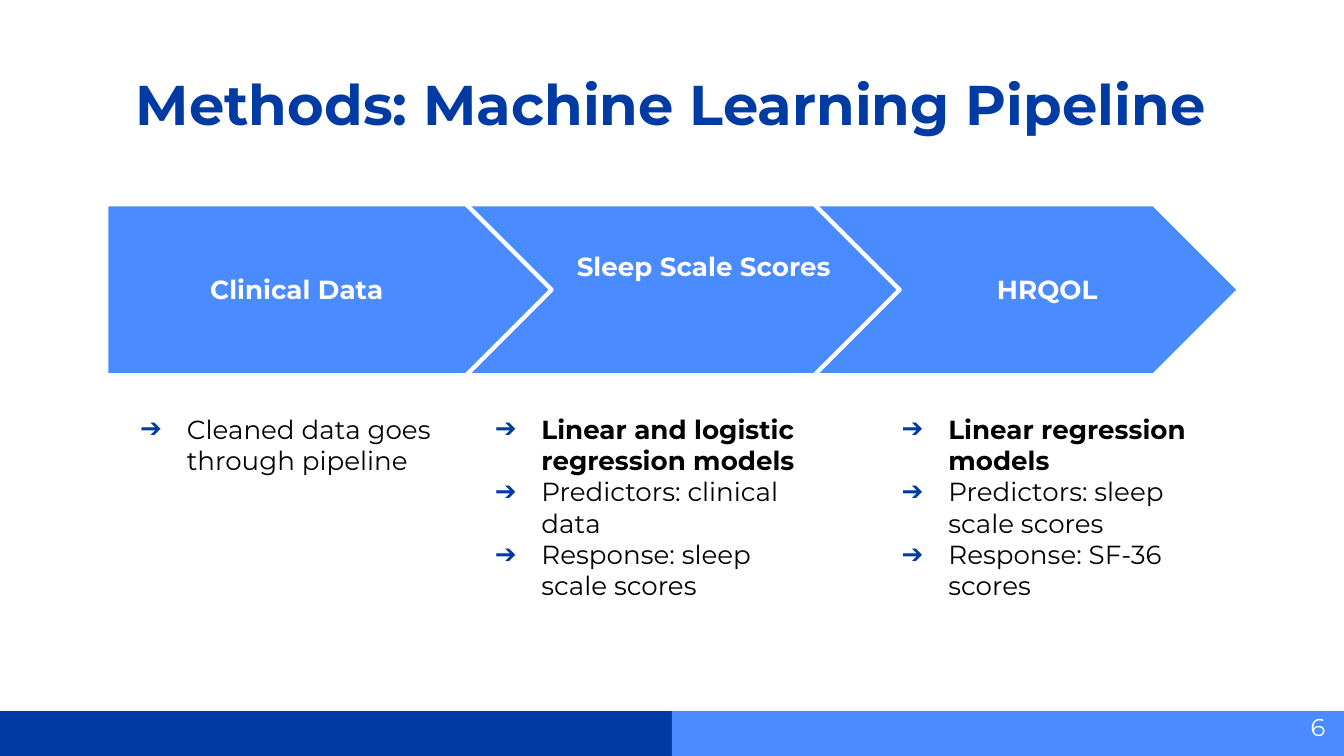
import pptx
import pptx.dml.color
import pptx.enum.shapes
import pptx.enum.text
import pptx.oxml.ns
import pptx.util
from dataclasses import dataclass
from lxml import etree

Pt = pptx.util.Pt
Shape = pptx.enum.shapes.MSO_SHAPE
Align = pptx.enum.text.PP_ALIGN
Anchor = pptx.enum.text.MSO_ANCHOR


@dataclass(frozen=True)
class Theme:
    font: str = "Montserrat"
    navy: str = "003BA3"
    blue: str = "4A8CFF"
    white: str = "FFFFFF"
    black: str = "000000"
    title_size: float = 30
    body_size: float = 14
    number_size: float = 13
    inset: float = 7.2
    outline: float = 2.25


def rgb(value):
    return pptx.dml.color.RGBColor.from_string(value)


class PageBuilder:
    def __init__(self, page, theme):
        self.page = page
        self.theme = theme

    def block(self, kind, left, top, width, height, fill, line=None):
        shape = self.page.shapes.add_shape(kind, Pt(left), Pt(top), Pt(width), Pt(height))
        shape.shadow.inherit = False
        shape.fill.solid()
        shape.fill.fore_color.rgb = rgb(fill)
        if line:
            shape.line.color.rgb = rgb(line)
            shape.line.width = Pt(self.theme.outline)
        else:
            shape.line.fill.background()
        return shape

    def frame(self, left, top, width, height, anchor=Anchor.TOP):
        box = self.page.shapes.add_textbox(Pt(left), Pt(top), Pt(width), Pt(height))
        frame = box.text_frame
        frame.word_wrap = True
        frame.vertical_anchor = anchor
        frame.margin_left = frame.margin_right = Pt(self.theme.inset)
        frame.margin_top = frame.margin_bottom = Pt(self.theme.inset)
        return frame

    def style(self, para, size, color, bold):
        para.font.name = self.theme.font
        para.font.size = Pt(size)
        para.font.bold = bold
        para.font.color.rgb = rgb(color)

    def label(self, text, left, top, width, height, size, color,
              bold=True, align=Align.CENTER, anchor=Anchor.TOP):
        para = self.frame(left, top, width, height, anchor).paragraphs[0]
        para.text = text
        para.alignment = align
        self.style(para, size, color, bold)

    def bullet(self, para):
        qn = pptx.oxml.ns.qn
        props = para._p.get_or_add_pPr()
        props.set("marL", str(Pt(36)))
        props.set("indent", str(-Pt(25)))
        color = etree.SubElement(props, qn("a:buClr"))
        etree.SubElement(color, qn("a:srgbClr"), val=self.theme.navy)
        etree.SubElement(props, qn("a:buFont"), typeface=self.theme.font)
        etree.SubElement(props, qn("a:buChar"), char="➔")

    def bullets(self, items, left, top, width, height, bold_first):
        frame = self.frame(left, top, width, height)
        for index, text in enumerate(items):
            para = frame.add_paragraph() if index else frame.paragraphs[0]
            para.text = text
            self.bullet(para)
            self.style(para, self.theme.body_size, self.theme.black, bold_first and index == 0)


def main():
    theme = Theme()
    deck = pptx.Presentation()
    deck.slide_width, deck.slide_height = Pt(720), Pt(405)
    builder = PageBuilder(deck.slides.add_slide(deck.slide_layouts[6]), theme)

    # Footer band
    for left, fill in ((0, theme.navy), (360, theme.blue)):
        builder.block(Shape.RECTANGLE, left, 381, 360, 24, fill)

    # Pipeline arrows, the last stage at the back
    for left in (425.5, 243.5, 57):
        builder.block(Shape.PENTAGON, left, 109.5, 238.5, 91.5, theme.blue, theme.white)

    # Stage names: text, left, top, width, height
    for text, *place in (
        ("Clinical Data", 90.5, 139, 137, 36),
        ("Sleep Scale Scores", 300.8, 127, 152.5, 48),
        ("HRQOL", 492.5, 139, 137, 36),
    ):
        builder.label(text, *place, theme.body_size, theme.white)

    # Stage details: left, bold first item, items
    for left, bold_first, items in (
        (57, False, ["Cleaned data goes through pipeline"]),
        (247, True, ["Linear and logistic regression models",
                     "Predictors: clinical data",
                     "Response: sleep scale scores"]),
        (465, True, ["Linear regression models",
                     "Predictors: sleep scale scores",
                     "Response: SF-36 scores"]),
    ):
        builder.bullets(items, left, 214, 191.5, 131, bold_first)

    # Title and page number
    builder.label("Methods: Machine Learning Pipeline", 56, 30, 607, 51,
                  theme.title_size, theme.navy)
    builder.label("6", 674, 374, 43, 31, theme.number_size, theme.white,
                  bold=False, align=Align.RIGHT, anchor=Anchor.MIDDLE)

    deck.save("out.pptx")


if __name__ == "__main__":
    main()
